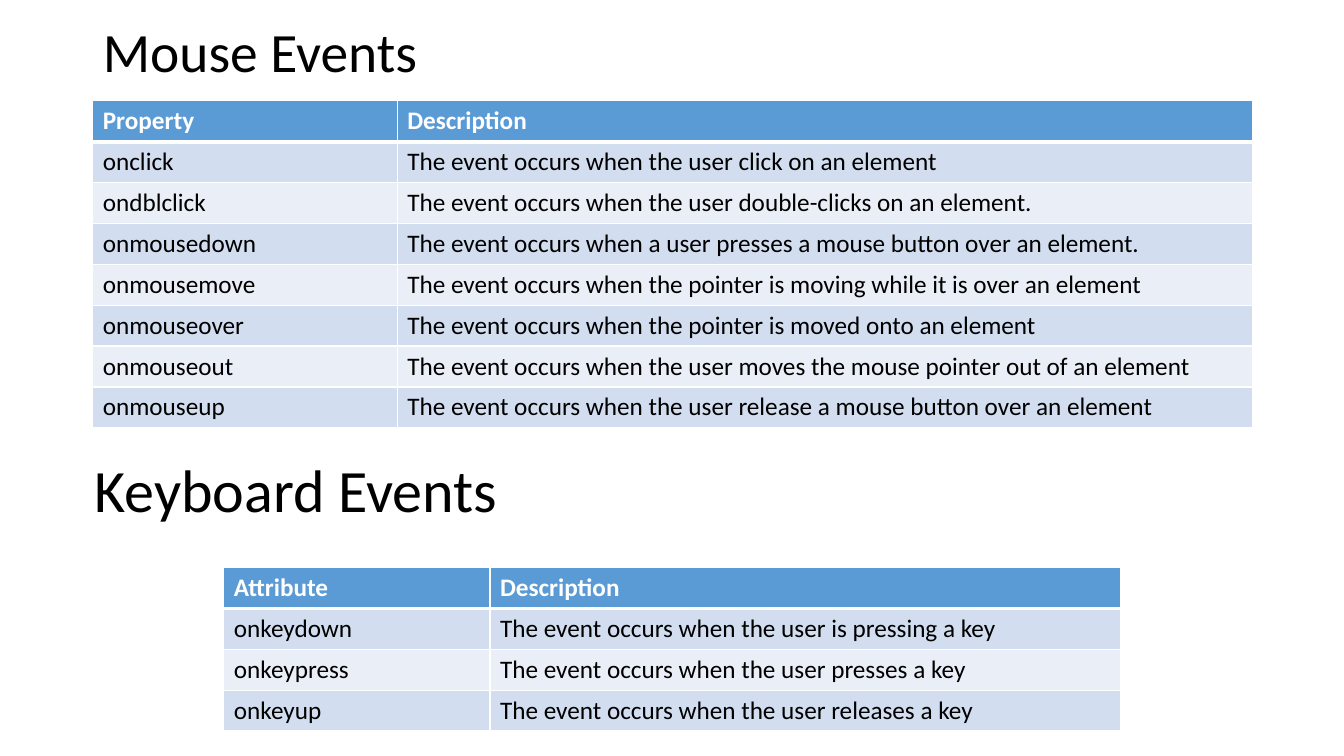
from lxml import etree
from pptx import Presentation
from pptx.dml.color import RGBColor
from pptx.enum import text
from pptx.oxml import ns
from pptx.util import Inches, Pt

FONT = "Calibri"
WHITE, BLACK = "FFFFFF", "000000"
HEADER_FILL, BAND_FILLS = "5B9BD5", ("D2DEEF", "EAEFF7")

MOUSE_EVENTS = [
    ("Property", "Description"),
    ("onclick", "The event occurs when the user click on an element"),
    ("ondblclick", "The event occurs when the user double-clicks on an element."),
    ("onmousedown", "The event occurs when a user presses a mouse button over an element."),
    ("onmousemove", "The event occurs when the pointer is moving while it is over an element"),
    ("onmouseover", "The event occurs when the pointer is moved onto an element"),
    ("onmouseout", "The event occurs when the user moves the mouse pointer out of an element"),
    ("onmouseup", "The event occurs when the user release a mouse button over an element"),
]
KEYBOARD_EVENTS = [
    ("Attribute", "Description"),
    ("onkeydown", "The event occurs when the user is pressing a key"),
    ("onkeypress", "The event occurs when the user presses a key"),
    ("onkeyup", "The event occurs when the user releases a key"),
]


def color(hex_value):
    return RGBColor.from_string(hex_value)


def add_run(paragraph, words, size, hex_value, bold=False):
    run = paragraph.add_run()
    run.text = words
    run.font.name, run.font.size, run.font.bold = FONT, Pt(size), bold
    run.font.color.rgb = color(hex_value)


def fill_heading(heading, box, words, size, line_spacing):
    heading.left, heading.top, heading.width, heading.height = map(Inches, box)
    frame = heading.text_frame
    frame.word_wrap = True
    frame.auto_size = text.MSO_AUTO_SIZE.NONE
    frame.vertical_anchor = text.MSO_ANCHOR.MIDDLE
    paragraph = frame.paragraphs[0]
    paragraph.alignment = text.PP_ALIGN.LEFT
    paragraph.line_spacing = line_spacing
    add_run(paragraph, words, size, BLACK)


def set_borders(cell, top, bottom):
    properties = cell._tc.get_or_add_tcPr()
    for side, points in (("L", 1), ("R", 1), ("T", top), ("B", bottom)):
        line = etree.SubElement(properties, ns.qn(f"a:ln{side}"), w=str(Pt(points)))
        solid = etree.SubElement(line, ns.qn("a:solidFill"))
        etree.SubElement(solid, ns.qn("a:srgbClr"), val=WHITE)


def add_events_table(slide, box, name_width, events):
    left, top, width, height = box
    table = slide.shapes.add_table(len(events), 2, *map(Inches, box)).table
    table.columns[0].width = Inches(name_width)
    table.columns[1].width = Inches(width - name_width)
    for i, event in enumerate(events):
        table.rows[i].height = Inches(height / len(events))
        header = i == 0
        for j, words in enumerate(event):
            cell = table.cell(i, j)
            # The rule under the header is thicker than the others
            set_borders(cell, top=3 if i == 1 else 1, bottom=3 if header else 1)
            cell.fill.solid()
            cell.fill.fore_color.rgb = color(HEADER_FILL if header else BAND_FILLS[(i - 1) % 2])
            add_run(cell.text_frame.paragraphs[0], words, 18,
                    WHITE if header else BLACK, header)


def add_mouse_section(slide, left, top, width):
    fill_heading(slide.shapes.title, (left, top, width, 0.71), "Mouse Events", 39.6, 0.9)
    add_events_table(slide, (left, top + 0.81, width, 3.24), 3.02, MOUSE_EVENTS)


def add_keyboard_section(slide, left, top, width):
    box = (left, top, width, 0.71)
    heading = slide.shapes.add_textbox(*map(Inches, box))
    fill_heading(heading, box, "Keyboard Events", 42.9, 0.8)
    add_events_table(slide, (left + 1.38, top + 1.07, 8.89, 1.62), 2.64, KEYBOARD_EVENTS)


presentation = Presentation()
presentation.slide_width, presentation.slide_height = Inches(13.33), Inches(7.5)
slide = presentation.slides.add_slide(presentation.slide_layouts[5])
slide.background.fill.solid()
slide.background.fill.fore_color.rgb = color(WHITE)

add_mouse_section(slide, 0.92, 0.19, 11.5)
add_keyboard_section(slide, 0.84, 4.56, 11.5)

presentation.save("out.pptx")
